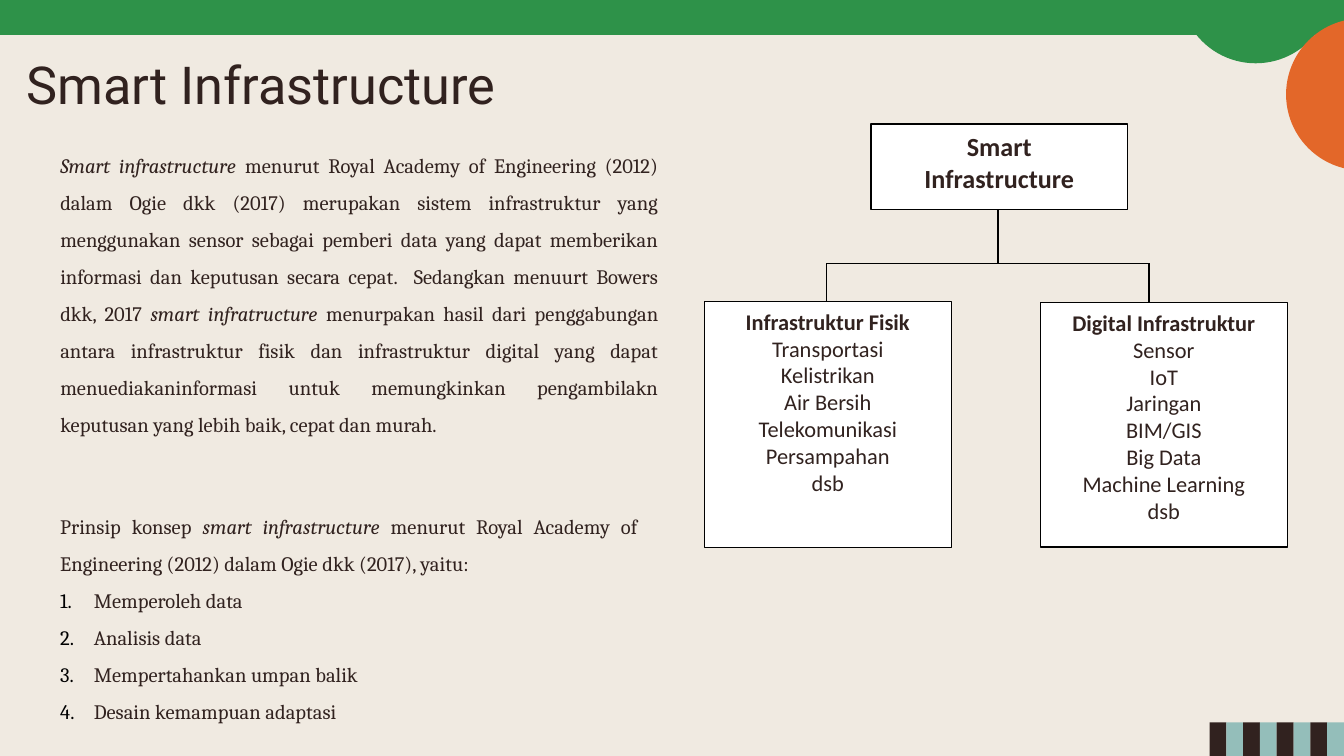
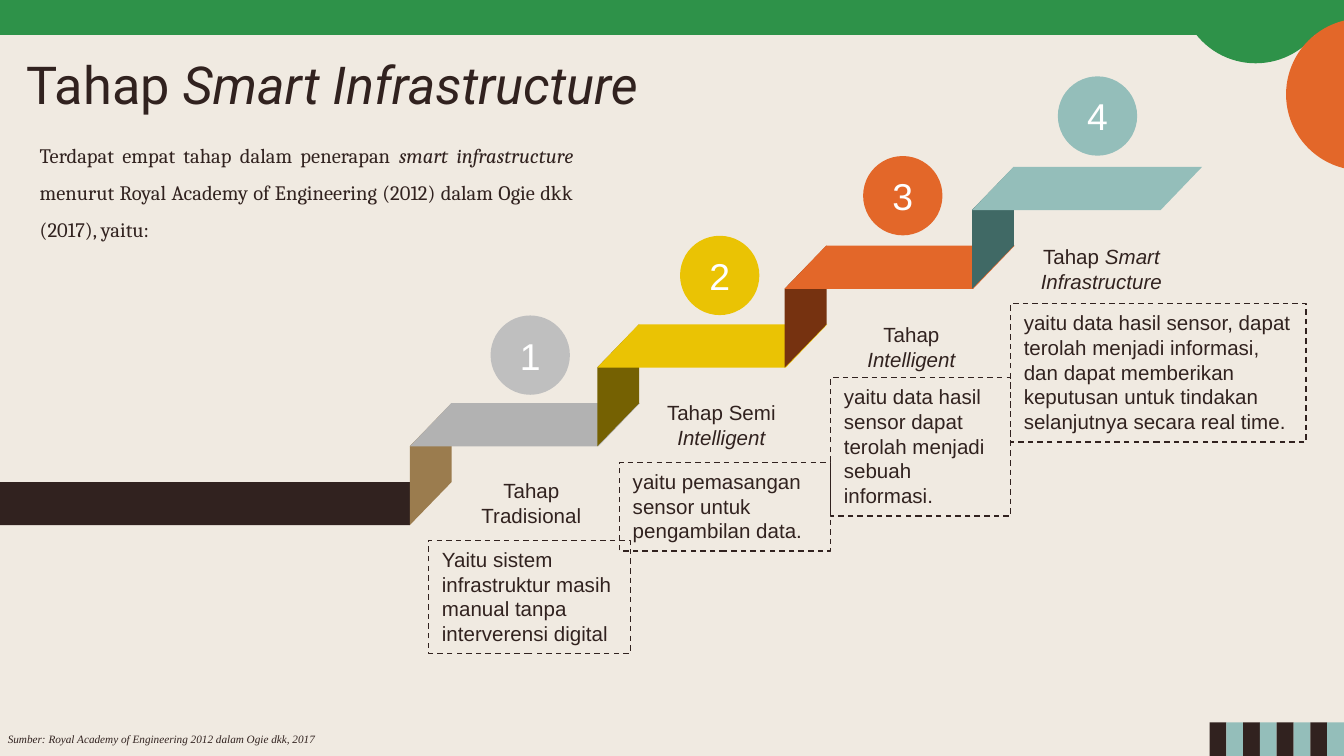
from collections import namedtuple
from itertools import cycle, islice

from lxml import etree
from pptx import Presentation
from pptx.dml.color import RGBColor
from pptx.enum import dml, shapes, text
from pptx.oxml import ns
from pptx.util import Pt

DARK = RGBColor(0x31, 0x22, 0x1F)
TEAL = RGBColor(0x94, 0xBE, 0xBA)
GREEN = RGBColor(0x2E, 0x92, 0x49)
ORANGE = RGBColor(0xE3, 0x67, 0x29)
YELLOW = RGBColor(0xEA, 0xC3, 0x04)
CREAM = RGBColor(0xF0, 0xEA, 0xE1)
WHITE = RGBColor(0xFF, 0xFF, 0xFF)
BLACK = RGBColor(0x00, 0x00, 0x00)
DISC_GRAY = RGBColor(0xBF, 0xBF, 0xBF)
STEP_GRAY = RGBColor(0xB2, 0xB2, 0xB2)
TAN = RGBColor(0x9B, 0x7C, 0x4E)
OLIVE = RGBColor(0x75, 0x61, 0x02)
BROWN = RGBColor(0x76, 0x32, 0x10)
DEEP_TEAL = RGBColor(0x40, 0x69, 0x65)

KIND = shapes.MSO_SHAPE
ALIGN = text.PP_ALIGN
ANCHOR = text.MSO_ANCHOR
INSETS = (7.2, 3.6, 7.2, 3.6)

Frame = namedtuple("Frame", "left top width height")
Stage = namedtuple("Stage", "label disc_left disc_color riser tread note note_frame")

STAGES = [
    Stage("Tahap Tradisional", 262.8, DISC_GRAY, TAN, STEP_GRAY,
          "Yaitu sistem infrastruktur masih manual tanpa interverensi digital",
          Frame(229.7, 249.5, 108, 60.5)),
    Stage("Tahap Semi *Intelligent*", 364.3, YELLOW, OLIVE, YELLOW,
          "yaitu pemasangan sensor untuk pengambilan data.",
          Frame(331.9, 207.7, 113, 47.5)),
    Stage("Tahap *Intelligent*", 462.4, ORANGE, BROWN, ORANGE,
          "yaitu data hasil sensor dapat terolah menjadi sebuah informasi.",
          Frame(445, 162.3, 96.5, 74.2)),
    Stage("Tahap *Smart Infrastructure*", 566.7, TEAL, DEEP_TEAL, TEAL,
          "yaitu data hasil sensor, dapat terolah menjadi informasi, dan dapat "
          "memberikan keputusan untuk tindakan selanjutnya secara real time.",
          Frame(541.4, 122.7, 158.4, 74.2)),
]


def inside(frame, left, top, width, height):
    return Frame(frame.left + left, frame.top + top, width, height)


def add_box(page, kind, frame, fill=None, line=None, dash=None):
    box = page.shapes.add_shape(kind, *map(Pt, frame))
    box.shadow.inherit = False
    if fill is None:
        box.fill.background()
    else:
        box.fill.solid()
        box.fill.fore_color.rgb = fill
    if line is None:
        box.line.fill.background()
    else:
        box.line.color.rgb = line
        box.line.width = Pt(0.75)
        if dash:
            box.line.dash_style = dash
    return box


def add_textbox(page, frame):
    return page.shapes.add_textbox(*map(Pt, frame))


def setup_text(box, insets=INSETS, anchor=ANCHOR.TOP):
    body = box.text_frame
    body.word_wrap = True
    body.vertical_anchor = anchor
    body.margin_left, body.margin_top, body.margin_right, body.margin_bottom = map(Pt, insets)
    return body


def write(para, content, font, size, color=DARK, align=ALIGN.LEFT, bold=False, spacing=None):
    para.alignment = align
    if spacing:
        para.line_spacing = spacing
    for index, part in enumerate(content.split("*")):
        if part:
            span = para.add_run()
            span.text = part
            span.font.name = font
            span.font.size = Pt(size)
            span.font.color.rgb = color
            span.font.bold = bold
            span.font.italic = index % 2 == 1


def write_lines(body, lines, *style, bold_first=False, **options):
    for index, content in enumerate(lines):
        para = body.add_paragraph() if index else body.paragraphs[0]
        if bold_first:
            options["bold"] = index == 0
        write(para, content, *style, **options)


def number(para, indent=18):
    props = para._p.get_or_add_pPr()
    props.set("marL", str(Pt(indent)))
    props.set("indent", str(-Pt(indent)))
    color = etree.SubElement(props, ns.qn("a:buClr"))
    etree.SubElement(color, ns.qn("a:srgbClr")).set("val", str(BLACK))
    etree.SubElement(props, ns.qn("a:buAutoNum")).set("type", "arabicPeriod")


def add_line(page, start, end):
    line = page.shapes.add_connector(shapes.MSO_CONNECTOR.STRAIGHT, *map(Pt, start + end))
    line.line.color.rgb = BLACK
    line.line.width = Pt(0.75)
    etree.SubElement(line._element.spPr, ns.qn("a:effectLst"))


def add_page(deck, title):
    page = deck.slides.add_slide(deck.slide_layouts[6])
    page.background.fill.solid()
    page.background.fill.fore_color.rgb = CREAM
    for index, color in enumerate(islice(cycle((DARK, TEAL)), 8)):
        add_box(page, KIND.RECTANGLE, Frame(648 + 9 * index, 387, 9, 18), color)
    add_box(page, KIND.RECTANGLE, Frame(0, 0, 720, 18.7), GREEN)
    body = setup_text(add_textbox(page, Frame(7.2, 20.9, 607.7, 45.4)), (7.2,) * 4)
    write(body.paragraphs[0], title, "Roboto", 28)
    add_box(page, KIND.OVAL, Frame(632, -47.5, 81.4, 81.4), GREEN)
    add_box(page, KIND.OVAL, Frame(689, 9.9, 81.4, 81.4), ORANGE)
    return page


def add_passage(page, frame, content, numbered=()):
    body = setup_text(add_textbox(page, frame))
    style = dict(font="Cambria", size=11, align=ALIGN.JUSTIFY, spacing=1.5)
    write(body.paragraphs[0], content, **style)
    for item in numbered:
        para = body.add_paragraph()
        para.line_spacing = 1.5
        number(para)
        write(para, item, **style)


def add_tree(page, frame):
    root = inside(frame, 89.3, 0, 137.5, 46)
    branches = [
        (inside(frame, 0, 95, 132.5, 131.8), 65.5,
         ["Infrastruktur Fisik", "Transportasi", "Kelistrikan", "Air Bersih",
          "Telekomunikasi", "Persampahan", "dsb"]),
        (inside(frame, 180, 95.6, 132.5, 131.2), 58.3,
         ["Digital Infrastruktur", "Sensor", "IoT", "Jaringan", "BIM/GIS",
          "Big Data", "Machine Learning", "dsb"]),
    ]
    box = add_box(page, KIND.RECTANGLE, root, WHITE, BLACK)
    write_lines(setup_text(box), ["Smart", "Infrastructure"], "Calibri", 14,
                align=ALIGN.CENTER, bold=True)
    rail = frame.top + 74.7
    ends = []
    for branch, joint, lines in branches:
        box = add_box(page, KIND.RECTANGLE, branch, WHITE, BLACK)
        write_lines(setup_text(box), lines, "Calibri", 12, align=ALIGN.CENTER, bold_first=True)
        ends.append(branch.left + joint)
        add_line(page, (ends[-1], rail), (ends[-1], branch.top))
    trunk = frame.left + 157.4
    add_line(page, (trunk, root.top + root.height), (trunk, rail))
    add_line(page, (ends[0], rail), (ends[1], rail))


def add_stage(page, frame, index, stage):
    step_left, step_top = 219.6 + 100.4 * index, 176 - 42.2 * index

    label = add_textbox(page, inside(frame, 249.8 + 101.8 * index, 216.3 - 41.8 * index, 69.8, 26))
    write(setup_text(label, (0,) * 4).paragraphs[0], stage.label, "Arial", 11, align=ALIGN.CENTER)

    disc = add_box(page, KIND.OVAL,
                   inside(frame, stage.disc_left, 129 - 42.7 * index, 42.5, 42.5), stage.disc_color)
    write(setup_text(disc, (5, 2.9, 5, 2.9), ANCHOR.MIDDLE).paragraphs[0],
          str(index + 1), "Arial", 20, WHITE, ALIGN.CENTER)

    length, depth = 65.3, 22.4
    riser = add_box(page, KIND.PARALLELOGRAM,
                    inside(frame, step_left + (depth - length) / 2,
                           step_top + (length - depth) / 2, length, depth), stage.riser)
    riser.adjustments[0] = 1.03
    riser.rotation = 270
    riser._element.spPr.xfrm.set("flipH", "1")

    tread = add_box(page, KIND.PARALLELOGRAM,
                    inside(frame, step_left, step_top, 123.2, 23.1), stage.tread)
    tread.adjustments[0] = 0.96

    note = add_box(page, KIND.RECTANGLE, inside(frame, *stage.note_frame),
                   line=DARK, dash=dml.MSO_LINE.DASH)
    write(setup_text(note).paragraphs[0], stage.note, "Arial", 11)


def add_staircase(page, frame):
    add_box(page, KIND.RECTANGLE, inside(frame, 0, 218.3, 219.6, 23.1), DARK)
    for index, stage in enumerate(STAGES):
        add_stage(page, frame, index, stage)


def add_source(page, frame, content):
    body = setup_text(add_textbox(page, frame), anchor=ANCHOR.MIDDLE)
    write(body.paragraphs[0], content, "Times New Roman", 6)


def build_concept(deck):
    page = add_page(deck, "Smart Infrastructure")
    add_passage(
        page, Frame(25.2, 265, 323.5, 146.9),
        "Prinsip konsep *smart infrastructure* menurut Royal Academy of Engineering (2012) "
        "dalam Ogie dkk (2017), yaitu:",
        ["Memperoleh data", "Analisis data", "Mempertahankan umpan balik",
         "Desain kemampuan adaptasi"])
    add_passage(
        page, Frame(25.2, 72, 334.8, 187.2),
        "*Smart infrastructure* menurut Royal Academy of Engineering (2012) dalam Ogie dkk (2017) "
        "merupakan sistem infrastruktur yang menggunakan sensor sebagai pemberi data yang dapat "
        "memberikan informasi dan keputusan secara cepat.  Sedangkan menuurt Bowers dkk, 2017 "
        "*smart infratructure* menurpakan hasil dari penggabungan antara infrastruktur fisik dan "
        "infrastruktur digital yang dapat menuediakaninformasi untuk memungkinkan pengambilakn "
        "keputusan yang lebih baik, cepat dan murah.")
    add_tree(page, Frame(377.3, 66.4, 312.5, 226.8))


def build_stages(deck):
    page = add_page(deck, "Tahap *Smart Infrastructure*")
    add_staircase(page, Frame(0, 40, 700, 310))
    add_passage(
        page, Frame(14.2, 66.4, 300.2, 67),
        "Terdapat empat tahap dalam penerapan *smart infrastructure* menurut Royal Academy of "
        "Engineering (2012) dalam Ogie dkk (2017), yaitu:")
    add_source(page, Frame(-2.9, 389, 187.2, 14.4),
               "*Sumber: Royal Academy of Engineering 2012 dalam Ogie dkk, 2017*")


def main():
    deck = Presentation()
    deck.slide_width, deck.slide_height = Pt(720), Pt(405)
    build_concept(deck)
    build_stages(deck)
    deck.save("out.pptx")


if __name__ == "__main__":
    main()
